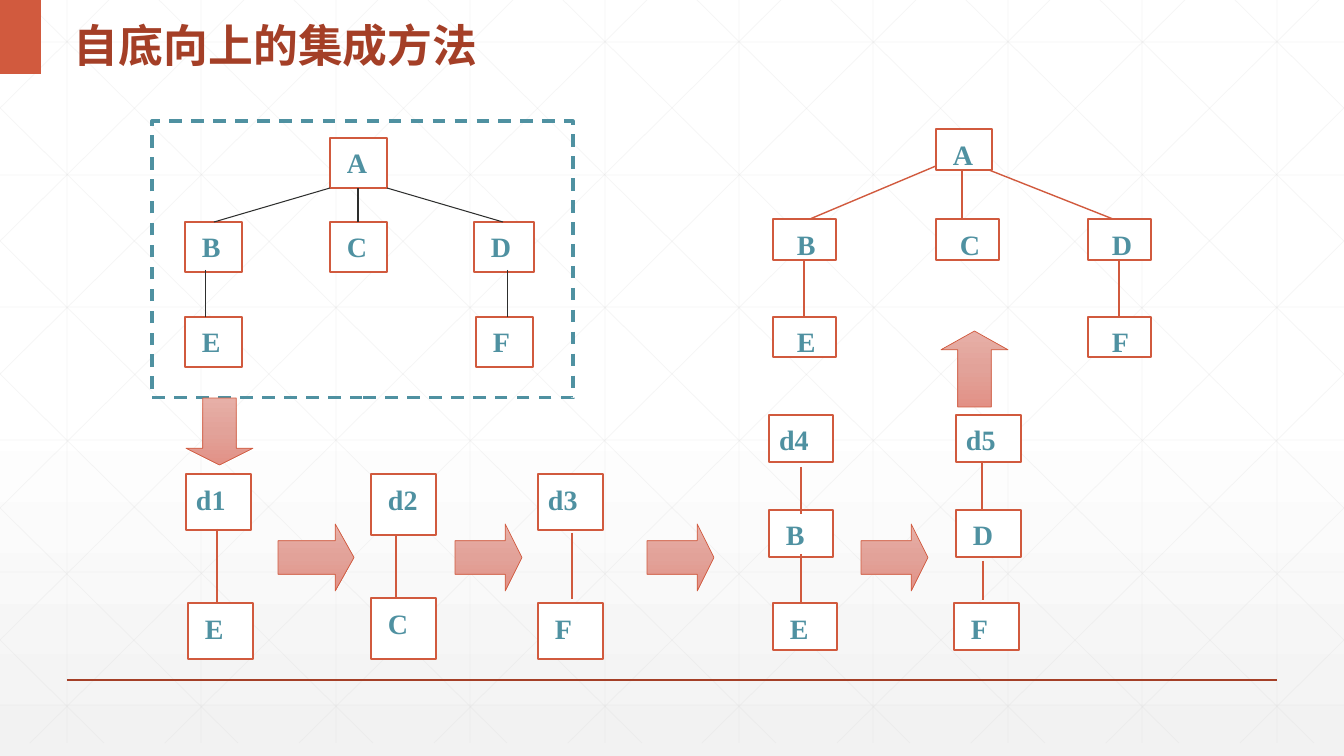
import dataclasses
import lxml.etree
import pptx
import pptx.dml.color
import pptx.enum.dml
import pptx.enum.shapes
import pptx.enum.text
import pptx.oxml.ns
import pptx.util

SHAPE = pptx.enum.shapes.MSO_SHAPE
ANCHOR = pptx.enum.text.MSO_ANCHOR
WIDTH, HEIGHT, GRID_BOTTOM = 1344, 756, 743


@dataclasses.dataclass(frozen=True)
class Theme:
    accent: str = "D15A3E"
    dark: str = "A43F27"
    teal: str = "4F91A1"
    ink: str = "2D2E2D"
    white: str = "FFFFFF"
    grid: str = "D9D9D9"
    backdrop: tuple = ((0, "FFFFFF"), (53, "FFFFFF"), (100, "F2F2F2"))
    arrow: tuple = ((0, "E7AFA7"), (50, "E2A299"), (100, "E29186"))
    title_font: str = "Noto Sans CJK SC"
    label_font: str = "Times New Roman"
    title_size: int = 32
    label_size: int = 20


def px(n):
    return pptx.util.Emu(round(n * 914400 / 100.8))


def rgb(code):
    return pptx.dml.color.RGBColor.from_string(code)


def sub(parent, tag, **attrs):
    return lxml.etree.SubElement(parent, pptx.oxml.ns.qn(tag), **attrs)


def write(tf, text, *, font, size, color, left=10, top=5, spacing=1.0, anchor=ANCHOR.TOP):
    tf.word_wrap = True
    tf.vertical_anchor = anchor
    tf.margin_left, tf.margin_top = px(left), px(top)
    tf.margin_right, tf.margin_bottom = 0, px(5)
    p = tf.paragraphs[0]
    p.alignment = pptx.enum.text.PP_ALIGN.LEFT
    p.line_spacing = spacing
    r = p.add_run()
    r.text = text
    r.font.name, r.font.size, r.font.bold = font, pptx.util.Pt(size), True
    r.font.color.rgb = rgb(color)
    sub(r.font._element, "a:ea", typeface=font)


def gradient(fill, root, stops):
    fill.gradient()
    fill.gradient_angle = 270
    stop_list = root.find(".//" + pptx.oxml.ns.qn("a:gsLst"))
    for old in list(stop_list):
        stop_list.remove(old)
    for pos, code in stops:
        sub(sub(stop_list, "a:gs", pos=str(pos * 1000)), "a:srgbClr", val=code)


class Deck:
    def __init__(self, theme):
        self.theme = theme
        self.prs = pptx.Presentation()
        self.prs.slide_width, self.prs.slide_height = px(WIDTH), px(HEIGHT)
        self.s = self.prs.slides.add_slide(self.prs.slide_layouts[6])
        gradient(self.s.background.fill, self.s._element, theme.backdrop)

    def shape(self, kind, x, y, w, h, fill=None, line=None, weight=1.0):
        sp = self.s.shapes.add_shape(kind, px(x), px(y), px(w), px(h))
        sp.shadow.inherit = False
        if fill:
            sp.fill.solid()
            sp.fill.fore_color.rgb = rgb(fill)
        else:
            sp.fill.background()
        if line:
            sp.line.color.rgb = rgb(line)
            sp.line.width = pptx.util.Pt(weight)
        else:
            sp.line.fill.background()
        return sp

    def title(self, text, x, y, w, h):
        t = self.theme
        tb = self.s.shapes.add_textbox(px(x), px(y), px(w), px(h))
        write(tb.text_frame, text, font=t.title_font, size=t.title_size,
              color=t.dark, spacing=1.3, anchor=ANCHOR.MIDDLE)

    def node(self, text, x, y, w, h, left):
        t = self.theme
        sp = self.shape(SHAPE.RECTANGLE, x, y, w, h, t.white, t.accent)
        write(sp.text_frame, text, font=t.label_font, size=t.label_size,
              color=t.teal, left=left, top=8)

    def line(self, x1, y1, x2, y2, color, weight=1.0, alpha=None):
        c = self.s.shapes.add_connector(
            pptx.enum.shapes.MSO_CONNECTOR.STRAIGHT, px(x1), px(y1), px(x2), px(y2))
        c.line.color.rgb = rgb(color)
        c.line.width = pptx.util.Pt(weight)
        if alpha:
            tone = c._element.spPr.find(".//" + pptx.oxml.ns.qn("a:srgbClr"))
            sub(tone, "a:alpha", val=str(alpha * 1000))
        sub(c._element.spPr, "a:effectLst")

    def frame(self, x, y, w, h):
        sp = self.shape(SHAPE.RECTANGLE, x, y, w, h, line=self.theme.teal, weight=2.25)
        sp.line.dash_style = pptx.enum.dml.MSO_LINE.DASH

    def arrow(self, kind, x, y, w, h):
        sp = self.shape(kind, x, y, w, h, line=self.theme.accent, weight=0.5)
        sp.adjustments[0] = 0.5
        sp.adjustments[1] = 0.25 if w == h else 0.28
        gradient(sp.fill, sp._element, self.theme.arrow)

    def grid(self):
        step_x, step_y, run = 134.4, 132.6, 751
        slope = GRID_BOTTOM / run
        lines = []
        for i in range(10):
            x = round(67 + i * step_x)
            lines.append((x, 0, x, GRID_BOTTOM))
        for i in range(6):
            y = round(42 + i * step_y)
            lines.append((0, y, WIDTH, y))
        for i in range(-5, 10):
            start = round(25 + i * step_x)
            x1, x2 = max(start, 0), min(start + run, WIDTH)
            y1, y2 = (round((x - start) * slope) for x in (x1, x2))
            lines += [(x1, y1, x2, y2), (WIDTH - x1, y1, WIDTH - x2, y2)]
        for ends in lines:
            self.line(*ends, self.theme.grid, 0.5, 25)

    def diagram(self, nodes, links, color, weight=1.0):
        for node in nodes:
            self.node(*node)
        for ends in links:
            self.line(*ends, color, weight)


SOURCE_NODES = [
    ("A", 330, 138, 57, 50, 17), ("B", 185, 222, 57, 50, 17),
    ("C", 330, 222, 57, 50, 17), ("D", 474, 222, 60, 50, 17),
    ("E", 185, 317, 57, 50, 17), ("F", 476, 317, 57, 50, 17)]
SOURCE_LINKS = [
    (330, 188, 214, 222), (387, 188, 503, 222), (358, 188, 358, 222),
    (206, 270, 206, 317), (508, 270, 508, 317)]

DRIVER_NODES = [
    ("d2", 371, 474, 65, 61, 17), ("C", 371, 598, 65, 61, 17),
    ("d1", 186, 474, 65, 56, 10), ("E", 188, 603, 65, 56, 17),
    ("d3", 538, 474, 65, 56, 10), ("F", 538, 603, 65, 56, 17),
    ("d4", 769, 415, 64, 47, 10), ("B", 769, 510, 64, 47, 17),
    ("E", 773, 603, 64, 47, 17), ("d5", 956, 415, 65, 47, 10),
    ("F", 954, 603, 65, 47, 17), ("D", 956, 510, 65, 47, 17)]
DRIVER_LINKS = [
    (396, 535, 396, 598), (217, 529, 217, 604), (572, 533, 572, 599),
    (801, 467, 801, 514), (801, 554, 801, 603),
    (982, 463, 982, 510), (983, 561, 983, 600)]

RESULT_NODES = [
    ("A", 936, 129, 56, 41, 17), ("B", 773, 219, 63, 41, 24),
    ("C", 936, 219, 63, 41, 24), ("D", 1088, 219, 63, 41, 24),
    ("E", 773, 317, 63, 40, 24), ("F", 1088, 317, 63, 40, 24)]
RESULT_LINKS = [
    (936, 166, 810, 219), (989, 170, 1113, 219), (962, 171, 962, 219),
    (804, 260, 804, 317), (1119, 260, 1119, 317)]

ARROWS = [
    (SHAPE.RIGHT_ARROW, 278, 524, 76, 67), (SHAPE.RIGHT_ARROW, 455, 524, 67, 67),
    (SHAPE.RIGHT_ARROW, 647, 524, 67, 67), (SHAPE.RIGHT_ARROW, 861, 524, 67, 67),
    (SHAPE.DOWN_ARROW, 186, 398, 67, 67), (SHAPE.UP_ARROW, 941, 331, 67, 76)]


def main():
    theme = Theme()
    deck = Deck(theme)
    deck.grid()
    deck.line(67, 680, 1277, 680, theme.dark)
    deck.shape(SHAPE.RECTANGLE, 0, 0, 41, 74, theme.accent)
    deck.title("自底向上的集成方法", 64, 0, 574, 74)
    deck.diagram(SOURCE_NODES, SOURCE_LINKS, theme.ink, 0.75)
    deck.frame(152, 121, 421, 277)
    deck.diagram(DRIVER_NODES, DRIVER_LINKS, theme.accent)
    deck.diagram(RESULT_NODES, RESULT_LINKS, theme.accent)
    for arrow in ARROWS:
        deck.arrow(*arrow)
    deck.prs.save("out.pptx")


if __name__ == "__main__":
    main()
